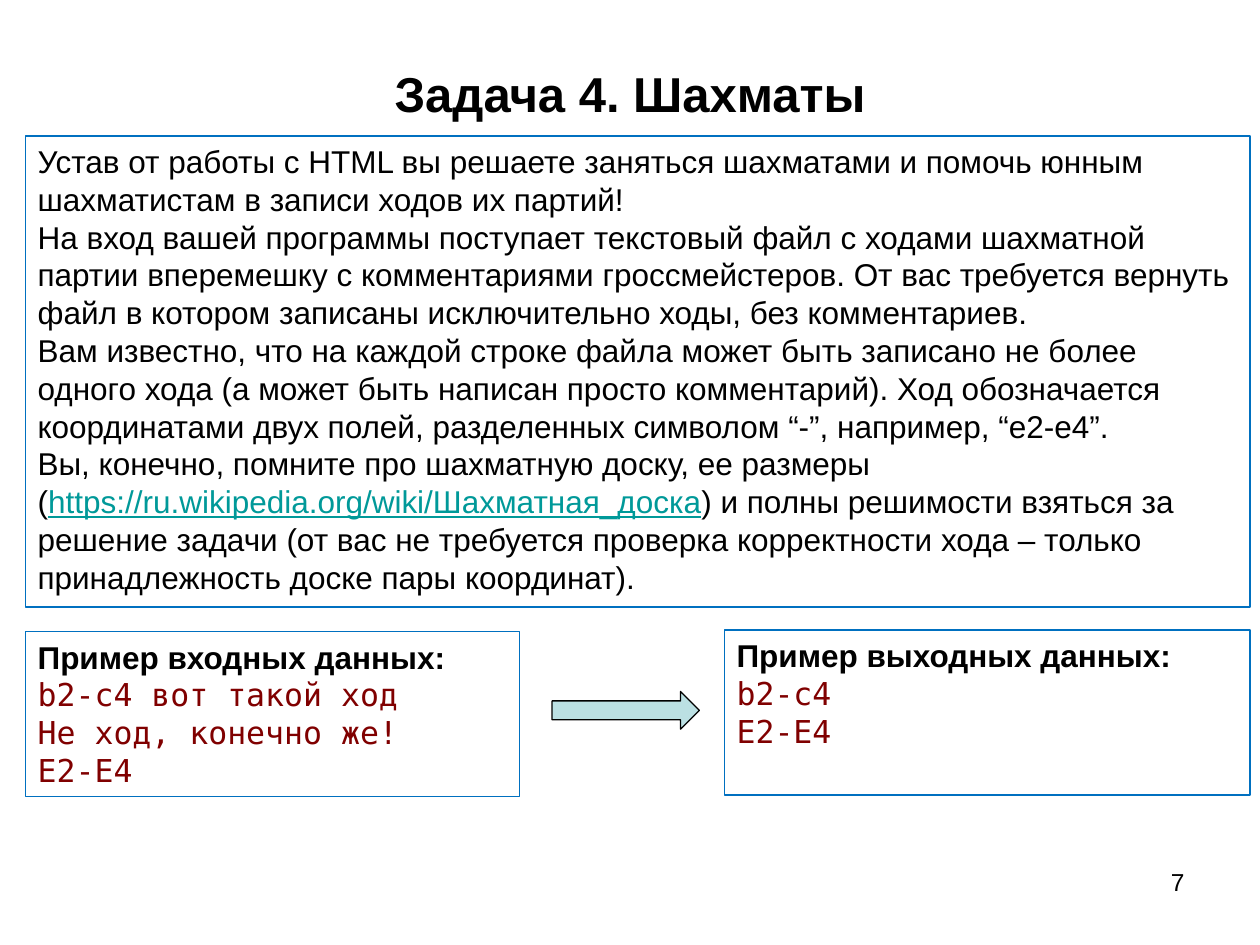
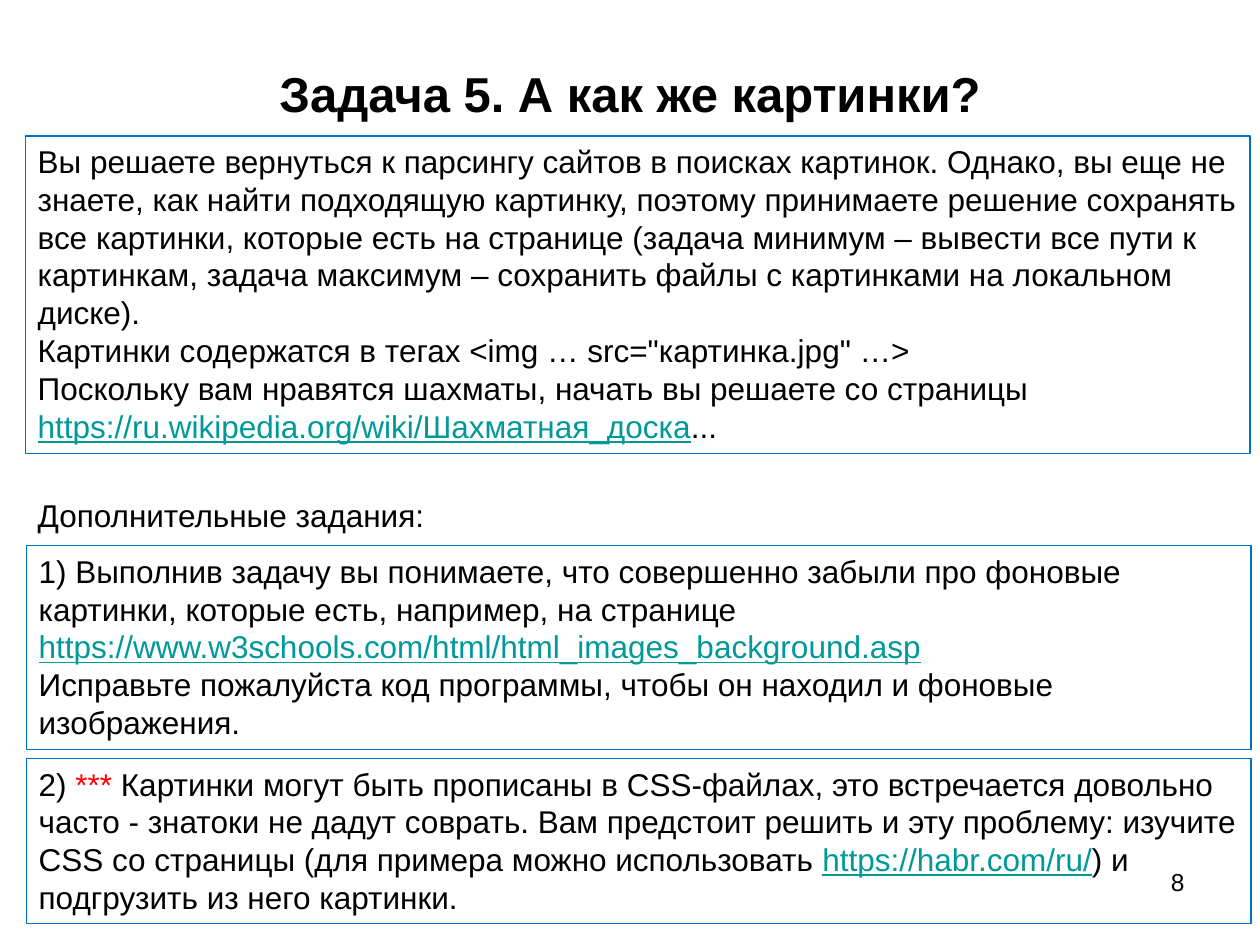
from pptx import Presentation
from pptx.dml.color import RGBColor
from pptx.enum.shapes import MSO_SHAPE
from pptx.enum.text import MSO_ANCHOR, PP_ALIGN
from pptx.util import Cm, Pt

RECTANGLE = MSO_SHAPE.RECTANGLE
RIGHT_ARROW = MSO_SHAPE.RIGHT_ARROW
TOP, MIDDLE = MSO_ANCHOR.TOP, MSO_ANCHOR.MIDDLE
LEFT, CENTER, RIGHT = PP_ALIGN.LEFT, PP_ALIGN.CENTER, PP_ALIGN.RIGHT

COLORS = {
    "text": "000000",
    "background": "FFFFFF",
    "border": "0070C0",
    "link": "009999",
    "code": "800000",
    "stars": "FF0000",
    "arrow": "BBE0E3",
}
SANS, MONO = "Arial", "DejaVu Sans Mono"
STYLES = {
    "body": {},
    "bold": {"bold": True},
    "link": {"color": "link", "underline": True},
    "code": {"color": "code", "name": MONO},
    "stars": {"color": "stars"},
}
BOX_LEFT, BOX_TOP, BOX_WIDTH = 0.51, 2.74, 24.69
TASK_LEFT = 0.53
EXAMPLE_HEIGHT = 3.33
CHESSBOARD_URL = "https://ru.wikipedia.org/wiki/Шахматная_доска"


def rgb(key):
    return RGBColor.from_string(COLORS[key])


def style_run(r, size, color="text", name=SANS, bold=False, underline=False):
    r.font.size = Pt(size)
    r.font.name = name
    r.font.bold = bold
    r.font.underline = underline
    r.font.color.rgb = rgb(color)


def fill_text(tf, paragraphs, size=18, align=LEFT, anchor=TOP):
    tf.word_wrap = True
    tf.vertical_anchor = anchor
    for i, runs in enumerate(paragraphs):
        p = tf.paragraphs[0] if i == 0 else tf.add_paragraph()
        p.alignment = align
        for text, style in runs:
            r = p.add_run()
            r.text = text
            style_run(r, size, **STYLES[style])


def add_label(slide, left, top, width, height, text, style="body", **options):
    sp = slide.shapes.add_textbox(Cm(left), Cm(top), Cm(width), Cm(height))
    fill_text(sp.text_frame, [[(text, style)]], **options)


def add_outlined(slide, kind, left, top, width, height, line):
    sp = slide.shapes.add_shape(kind, Cm(left), Cm(top), Cm(width), Cm(height))
    sp.shadow.inherit = False
    sp.fill.background()
    sp.line.color.rgb = rgb(line)
    sp.line.width = Pt(0.75)
    return sp


def add_box(slide, left, top, width, height, paragraphs):
    sp = add_outlined(slide, RECTANGLE, left, top, width, height, "border")
    fill_text(sp.text_frame, paragraphs)


def add_example(slide, left, top, width, heading, code_lines):
    paragraphs = [[(heading, "bold")]] + [[(line, "code")] for line in code_lines]
    add_box(slide, left, top, width, EXAMPLE_HEIGHT, paragraphs)


def add_arrow(slide, left, top, width, height):
    sp = add_outlined(slide, RIGHT_ARROW, left, top, width, height, "text")
    sp.fill.solid()
    sp.fill.fore_color.rgb = rgb("arrow")


def add_slide(prs, title, number):
    slide = prs.slides.add_slide(prs.slide_layouts[6])
    slide.background.fill.solid()
    slide.background.fill.fore_color.rgb = rgb("background")
    add_label(slide, 1.27, 0.76, 22.86, 2.21, title, "bold",
              size=28, align=CENTER, anchor=MIDDLE)
    add_label(slide, 18.21, 17.35, 5.92, 1.32, str(number), size=14, align=RIGHT)
    return slide


def build_chess(prs):
    slide = add_slide(prs, "Задача 4. Шахматы", 7)
    add_box(slide, BOX_LEFT, BOX_TOP, BOX_WIDTH, 9.5, [
        [("Устав от работы с HTML вы решаете заняться шахматами и помочь юнным "
          "шахматистам в записи ходов их партий!", "body")],
        [("На вход вашей программы поступает текстовый файл с ходами шахматной "
          "партии вперемешку с комментариями гроссмейстеров. От вас требуется "
          "вернуть файл в котором записаны исключительно ходы, без "
          "комментариев.", "body")],
        [("Вам известно, что на каждой строке файла может быть записано не более "
          "одного хода (а может быть написан просто комментарий). Ход "
          "обозначается координатами двух полей, разделенных символом “-”, "
          "например, “e2-e4”.", "body")],
        [("Вы, конечно, помните про шахматную доску, ее размеры (", "body"),
         (CHESSBOARD_URL, "link"),
         (") и полны решимости взяться за решение задачи (от вас не требуется "
          "проверка корректности хода – только принадлежность доске пары "
          "координат).", "body")],
    ])
    add_example(slide, BOX_LEFT, 12.73, 9.96, "Пример входных данных:",
                ["b2-c4 вот такой ход", "Не ход, конечно же!", "E2-E4"])
    add_example(slide, 14.6, 12.7, 10.6, "Пример выходных данных:",
                ["b2-c4", "E2-E4"])
    add_arrow(slide, 11.13, 13.94, 2.97, 0.76)


def build_pictures(prs):
    slide = add_slide(prs, "Задача 5. А как же картинки?", 8)
    add_box(slide, BOX_LEFT, BOX_TOP, BOX_WIDTH, 6.4, [
        [("Вы решаете вернуться к парсингу сайтов в поисках картинок. Однако, вы "
          "еще не знаете, как найти подходящую картинку, поэтому принимаете "
          "решение сохранять все картинки, которые есть на странице (задача "
          "минимум – вывести все пути к картинкам, задача максимум – сохранить "
          "файлы с картинками на локальном диске).", "body")],
        [('Картинки содержатся в тегах <img … src="картинка.jpg" …>', "body")],
        [("Поскольку вам нравятся шахматы, начать вы решаете со страницы ", "body"),
         (CHESSBOARD_URL, "link"),
         ("...", "body")],
    ])
    add_label(slide, BOX_LEFT, 9.88, 12.75, 1.02, "Дополнительные задания:")
    add_box(slide, TASK_LEFT, 11, BOX_WIDTH, 4.11, [
        [("1) Выполнив задачу вы понимаете, что совершенно забыли про фоновые "
          "картинки, которые есть, например, на странице ", "body"),
         ("https://www.w3schools.com/html/html_images_background.asp", "link")],
        [("Исправьте пожалуйста код программы, чтобы он находил и фоновые "
          "изображения.", "body")],
    ])
    add_box(slide, TASK_LEFT, 15.29, BOX_WIDTH, 3.33, [
        [("2) ", "body"),
         ("*** ", "stars"),
         ("Картинки могут быть прописаны в CSS-файлах, это встречается довольно "
          "часто - знатоки не дадут соврать. Вам предстоит решить и эту "
          "проблему: изучите CSS со страницы (для примера можно использовать ",
          "body"),
         ("https://habr.com/ru/", "link"),
         (") и подгрузить из него картинки.", "body")],
    ])


def main():
    prs = Presentation()
    prs.slide_width, prs.slide_height = Cm(25.4), Cm(19.05)
    build_chess(prs)
    build_pictures(prs)
    prs.save("out.pptx")


if __name__ == "__main__":
    main()
